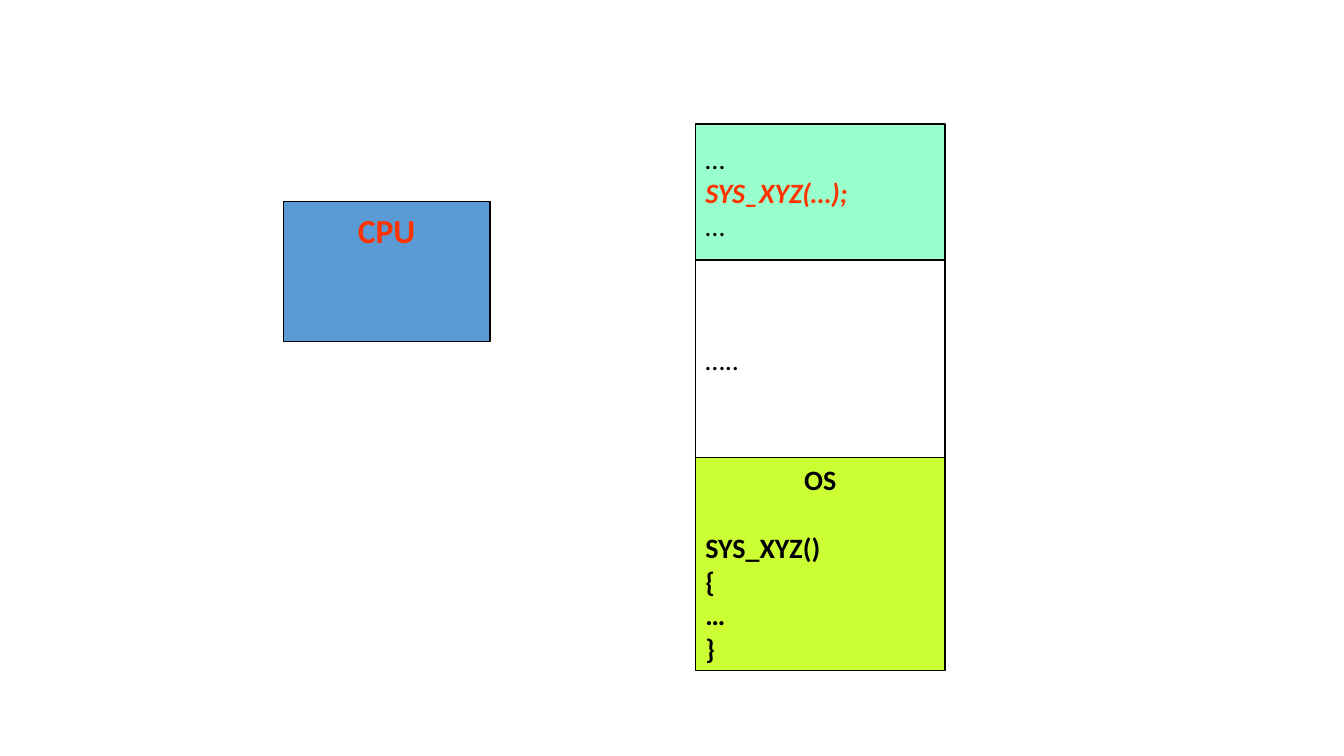
import pptx
import pptx.util
import pptx.dml.color
import pptx.enum.shapes
import pptx.enum.text

Pt = pptx.util.Pt
Anchor = pptx.enum.text.MSO_ANCHOR
Align = pptx.enum.text.PP_ALIGN

COLORS = {
    "black": "000000",
    "red": "FF3300",
    "mint": "99FFCC",
    "lime": "CCFF33",
    "blue": "5B9BD5",
}


def color(name):
    return pptx.dml.color.RGBColor.from_string(COLORS[name])


def add_box(slide, left, top, width, height, fill=None, anchor=Anchor.MIDDLE, inset=3.6):
    box = slide.shapes.add_shape(
        pptx.enum.shapes.MSO_SHAPE.RECTANGLE, Pt(left), Pt(top), Pt(width), Pt(height))
    box.shadow.inherit = False
    if fill:
        box.fill.solid()
        box.fill.fore_color.rgb = color(fill)
    else:
        box.fill.background()
    box.line.color.rgb = color("black")
    box.line.width = Pt(1)
    frame = box.text_frame
    frame.word_wrap = True
    frame.vertical_anchor = anchor
    frame.margin_top = frame.margin_bottom = Pt(inset)
    return frame


def add_text(frame, text, size=20, ink="black", bold=False, italic=False,
             align=Align.LEFT, before=0):
    line = frame.paragraphs[0]
    if line.runs:
        line = frame.add_paragraph()
    line.alignment = align
    if before:
        line.space_before = Pt(before)
    run = line.add_run()
    run.text = text
    font = run.font
    font.name = "Calibri"
    font.size = Pt(size)
    font.bold = bold
    font.italic = italic
    font.color.rgb = color(ink)


def main():
    deck = pptx.Presentation()
    deck.slide_width = Pt(960)
    deck.slide_height = Pt(540)
    slide = deck.slides.add_slide(deck.slide_layouts[6])

    left, top, width = 496.8, 88.6, 178.2
    frames = []
    for height, fill in ((97.2, "mint"), (141.1, None), (151.9, "lime")):
        frames.append(add_box(slide, left, top, width, height, fill))
        top += height
    user, gap, kernel = frames

    add_text(user, "…")
    add_text(user, "SYS_XYZ(…);", ink="red", bold=True, italic=True)
    add_text(user, "…")

    add_text(gap, "…..")

    add_text(kernel, "OS", bold=True, align=Align.CENTER)
    add_text(kernel, "SYS_XYZ()", bold=True, before=24.4)
    for text in ("{", "…", "}"):
        add_text(kernel, text, bold=True)

    cpu = add_box(slide, 202.3, 144, 147.6, 100.1, "blue", Anchor.TOP, 6)
    add_text(cpu, "CPU", size=24, ink="red", bold=True, align=Align.CENTER)

    deck.save("out.pptx")


if __name__ == "__main__":
    main()
